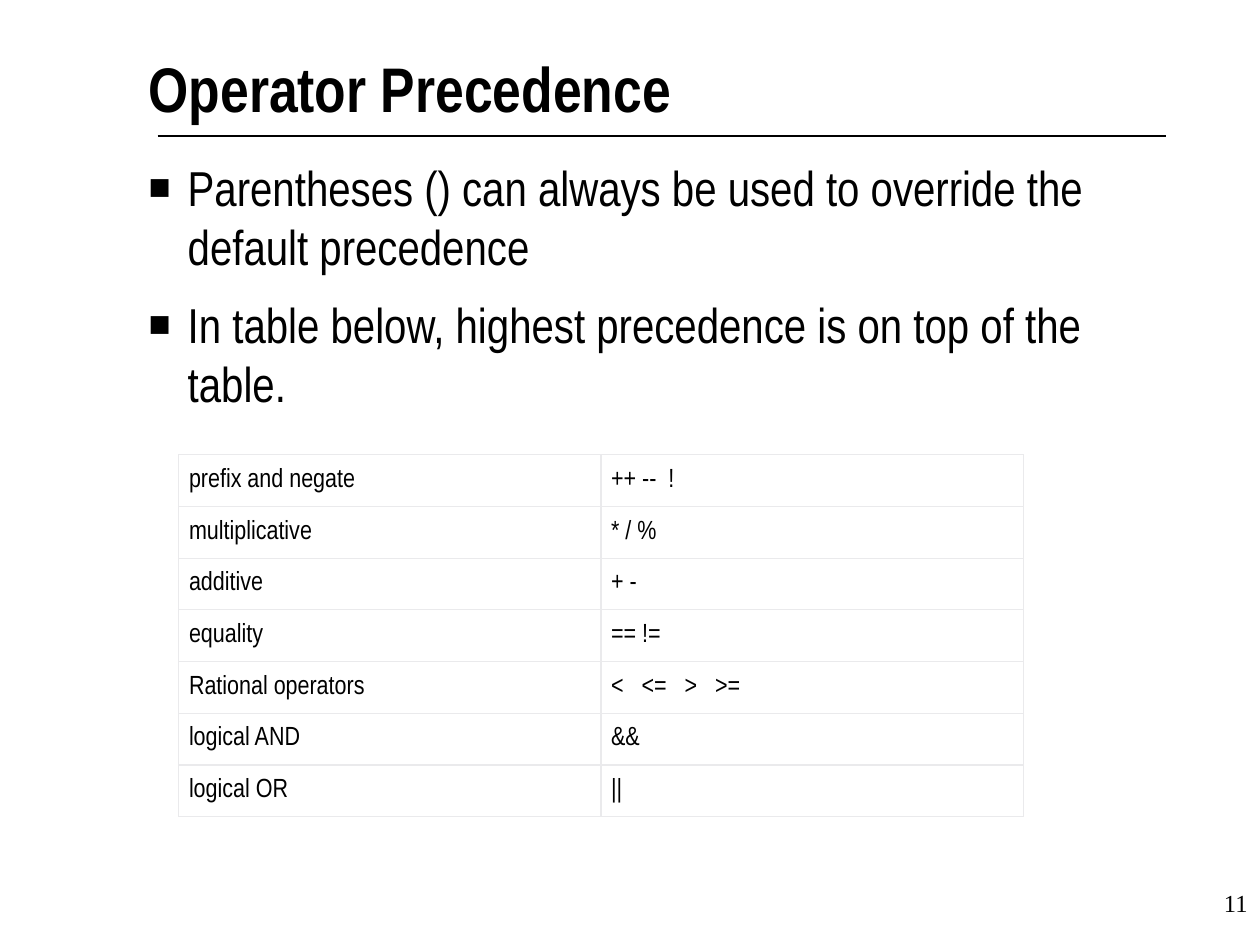
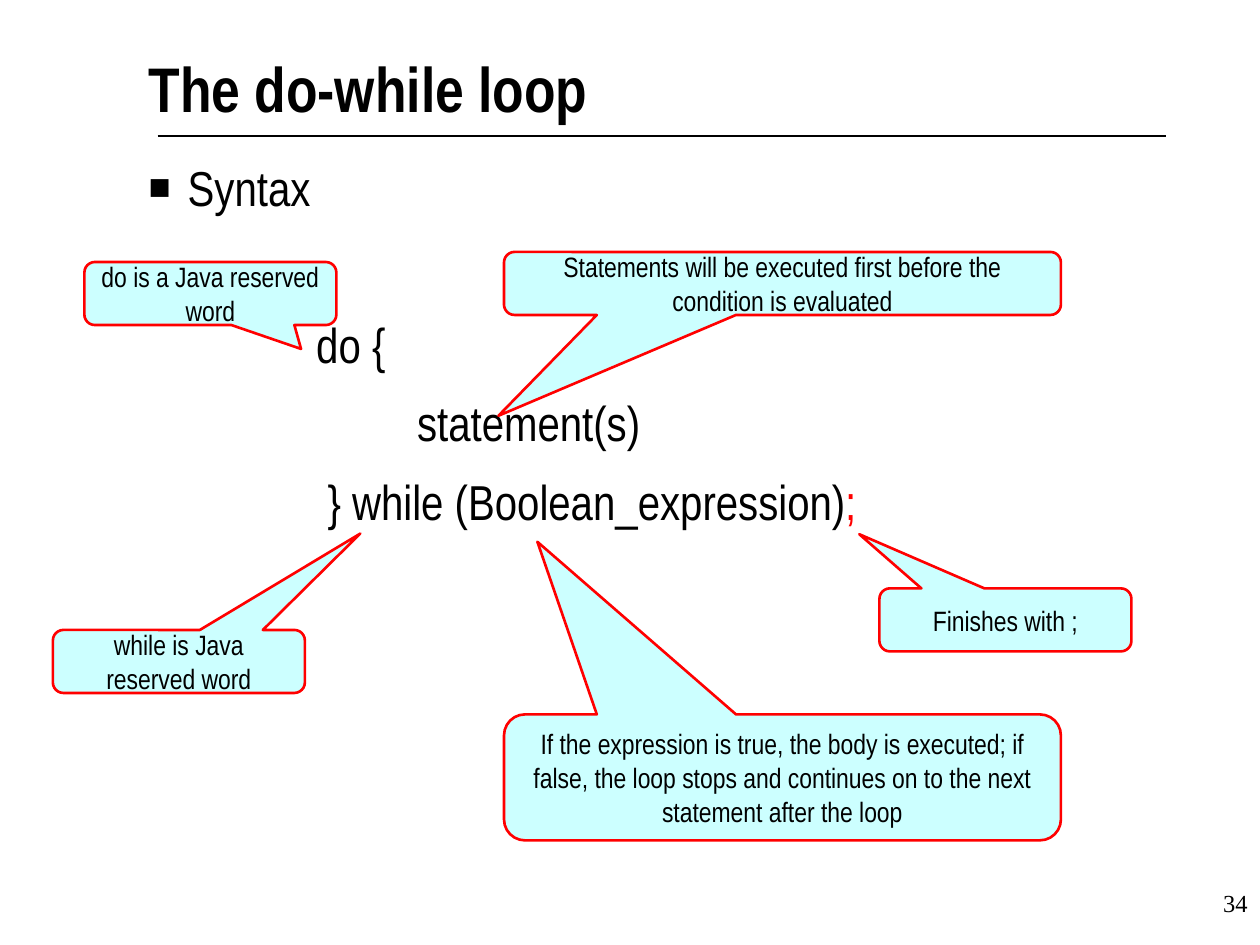
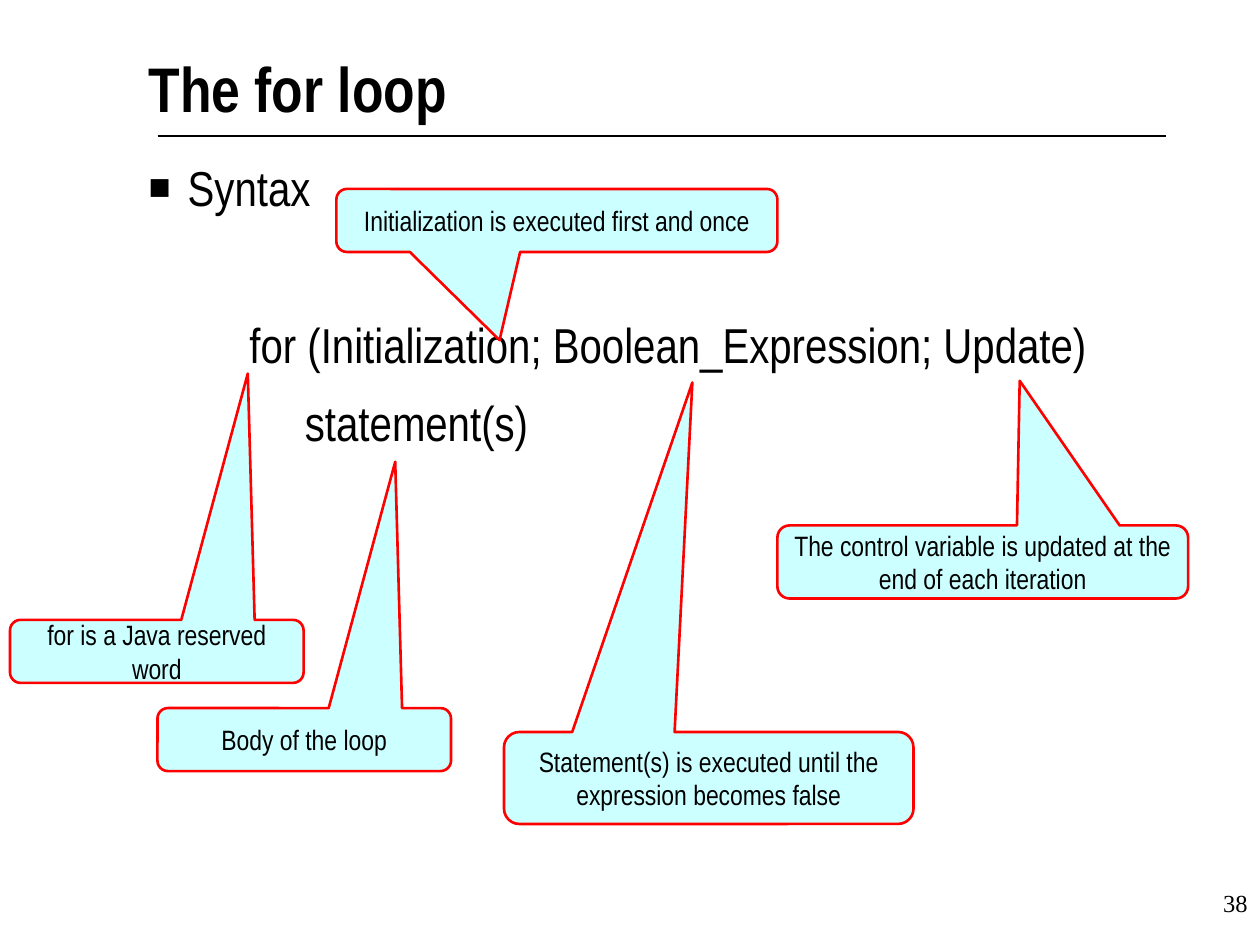
from lxml.etree import SubElement as Sub
from pptx import Presentation
from pptx.dml.color import RGBColor as Rgb
from pptx.enum.shapes import MSO_CONNECTOR as Conn, MSO_SHAPE as Shape
from pptx.enum.text import MSO_ANCHOR as Anchor, PP_ALIGN as Align
from pptx.oxml.ns import qn
from pptx.util import Inches, Pt

SANS, SERIF = "Arial Narrow", "Times New Roman"
BLACK, WHITE, RED = "000000", "FFFFFF", "FF0000"
CYAN, GRAY = "CCFFFF", "EAEAEC"
GAP = 11.2   # points between body paragraphs
SKIP = 56    # points between the heading and the code

# bullets: text; code: (indent, [(text, colour)]); notes: (box, tip, text)
SLIDES = [
    {
        "title": "Operator Precedence",
        "number": "11",
        "bullets": [
            "Parentheses () can always be used to override the default precedence",
            "In table below, highest precedence is on top of the table.",
        ],
        "table": [
            ("prefix and negate", "++ --  !"),
            ("multiplicative", "* / %"),
            ("additive", "+ -"),
            ("equality", "== !="),
            ("Rational operators", "<   <=   >   >="),
            ("logical AND", "&&"),
            ("logical OR", "||"),
        ],
    },
    {
        "title": "The do-while loop",
        "number": "34",
        "bullets": ["Syntax"],
        "code": [
            (1.33, [("do {", BLACK)]),
            (2.13, [("statement(s)", BLACK)]),
            (1.42, [("} while (Boolean_expression)", BLACK), (";", RED)]),
        ],
        "notes": [
            ((0.67, 2.08, 2, 0.5), (0.36, 0.88), "do is a Java reserved word"),
            ((0.42, 5, 2, 0.5), (0.72, -2.03), "while is Java reserved word"),
            ((4, 2, 4.42, 0.5), (-0.51, 2.1),
             "Statements will be executed first before the condition is evaluated"),
            ((4, 5.67, 4.42, 1), (-0.44, -1.87),
             "If the expression is true, the body is executed; if false, the loop "
             "stops and continues on to the next statement after the loop"),
            ((6.98, 4.67, 2, 0.5), (-0.58, -1.36), "Finishes with ;"),
        ],
    },
    {
        "title": "The for loop",
        "number": "38",
        "bullets": ["Syntax"],
        "code": [
            (0.8, [("for (Initialization; Boolean_Expression; Update)", BLACK)]),
            (1.24, [("statement(s)", BLACK)]),
        ],
        "notes": [
            ((0.08, 4.92, 2.33, 0.5), (0.31, -4.41), "for is a Java reserved word"),
            ((1.25, 5.62, 2.33, 0.5), (0.31, -4.41), "Body of the loop"),
            ((6.17, 4.17, 3.26, 0.58), (0.09, -2.48),
             "The control variable is updated at the end of each iteration"),
            ((4, 5.81, 3.25, 0.73), (-0.04, -4.3),
             "Statement(s) is executed until the\nexpression becomes false"),
            ((2.67, 1.5, 3.5, 0.5), (-0.13, 1.9),
             "Initialization is executed first and once"),
        ],
    },
]


def paint(fill, color):
    fill.solid()
    fill.fore_color.rgb = Rgb.from_string(color)


def write(para, text, size, color=BLACK, font=SANS, bold=False):
    run = para.add_run()
    run.text = text
    run.font.size, run.font.name, run.font.bold = Pt(size), font, bold
    paint(run.font.fill, color)


def place(shape, left, top, width, height):
    shape.left, shape.top = Inches(left), Inches(top)
    shape.width, shape.height = Inches(width), Inches(height)


def inset(frame):
    """Clear the margins and start the text at the top."""
    frame.margin_left = frame.margin_right = 0
    frame.margin_top = frame.margin_bottom = 0
    frame.word_wrap, frame.vertical_anchor = True, Anchor.TOP


def add_rule(slide, layout):
    """Draw the line under the title and hand it to the layout."""
    rule = slide.shapes.add_connector(
        Conn.STRAIGHT, Inches(1.25), Inches(1.08), Inches(9.25), Inches(1.08))
    rule.line.width = Pt(0.75)
    paint(rule.line.fill, BLACK)
    Sub(rule._element.spPr, qn("a:effectLst"))
    layout.shapes._spTree.append(rule._element)


def add_title(slide, text):
    title = slide.shapes.title
    place(title, 1.18, 0.39, 7.65, 0.75)
    inset(title.text_frame)
    para = title.text_frame.paragraphs[0]
    para.alignment = Align.LEFT
    write(para, text, 36, bold=True)


def style(para, left, hang, mark=None):
    """Set the indent in inches and the bullet, if any."""
    props = para._p.get_or_add_pPr()
    props.set("marL", str(Inches(left)))
    props.set("indent", str(Inches(-hang)))
    if mark:
        Sub(props, qn("a:buSzPct"), val="75000")
        Sub(props, qn("a:buChar"), char=mark)
    else:
        Sub(props, qn("a:buNone"))


def add_body(slide, bullets, code):
    body = slide.placeholders[1]
    place(body, 1.18, 1.25, 8.25, 5.25)
    frame = body.text_frame
    inset(frame)
    lines = [(0.31, 0.31, "■", [(text, BLACK)]) for text in bullets]
    lines += [(left, 0, None, runs) for left, runs in code]
    for i, (left, hang, mark, runs) in enumerate(lines):
        para = frame.add_paragraph() if i else frame.paragraphs[0]
        first = i == len(bullets)
        para.space_before = Pt(SKIP if first else GAP if i else 0)
        style(para, left, hang, mark)
        for text, color in runs:
            write(para, text, 28, color)


def add_number(slide, text):
    box = slide.shapes.add_textbox(
        Inches(7.92), Inches(7), Inches(2.08), Inches(0.5))
    box.text_frame.word_wrap = True
    para = box.text_frame.paragraphs[0]
    para.alignment = Align.RIGHT
    write(para, text, 14, font=SERIF)


def add_edges(cell):
    props = cell._tc.get_or_add_tcPr()
    for side in ("lnL", "lnR", "lnT", "lnB"):
        edge = Sub(props, qn("a:" + side), w=str(Pt(0.75)))
        Sub(Sub(edge, qn("a:solidFill")), qn("a:srgbClr"), val=GRAY)


def add_table(slide, rows):
    table = slide.shapes.add_table(
        len(rows), 2, Inches(1.42), Inches(3.61),
        Inches(6.7), Inches(0.4 * len(rows))).table
    table.first_row = table.horz_banding = False
    for r, row in enumerate(rows):
        for c, text in enumerate(row):
            cell = table.cell(r, c)
            cell.margin_left = cell.margin_top = cell.margin_bottom = Inches(0.08)
            cell.margin_right = Inches(0.07)
            cell.vertical_anchor = Anchor.MIDDLE
            add_edges(cell)
            paint(cell.fill, WHITE)
            write(cell.text_frame.paragraphs[0], text, 15)


def add_note(slide, box, tip, text):
    note = slide.shapes.add_shape(
        Shape.ROUNDED_RECTANGULAR_CALLOUT, *map(Inches, box))
    note.shadow.inherit = False
    note.adjustments[0], note.adjustments[1] = tip
    paint(note.fill, CYAN)
    paint(note.line.fill, RED)
    note.line.width = Pt(1.5)
    frame = note.text_frame
    frame.word_wrap, frame.vertical_anchor = True, Anchor.MIDDLE
    for i, line in enumerate(text.split("\n")):
        para = frame.add_paragraph() if i else frame.paragraphs[0]
        para.alignment = Align.CENTER
        write(para, line, 16)


def main():
    deck = Presentation()
    deck.slide_width, deck.slide_height = Inches(10), Inches(7.5)
    layout = deck.slide_layouts[1]
    for i, data in enumerate(SLIDES):
        slide = deck.slides.add_slide(layout)
        if i == 0:
            add_rule(slide, layout)
        add_title(slide, data["title"])
        add_body(slide, data["bullets"], data.get("code", []))
        add_number(slide, data["number"])
        if "table" in data:
            add_table(slide, data["table"])
        for note in data.get("notes", []):
            add_note(slide, *note)
    deck.save("out.pptx")


if __name__ == "__main__":
    main()
